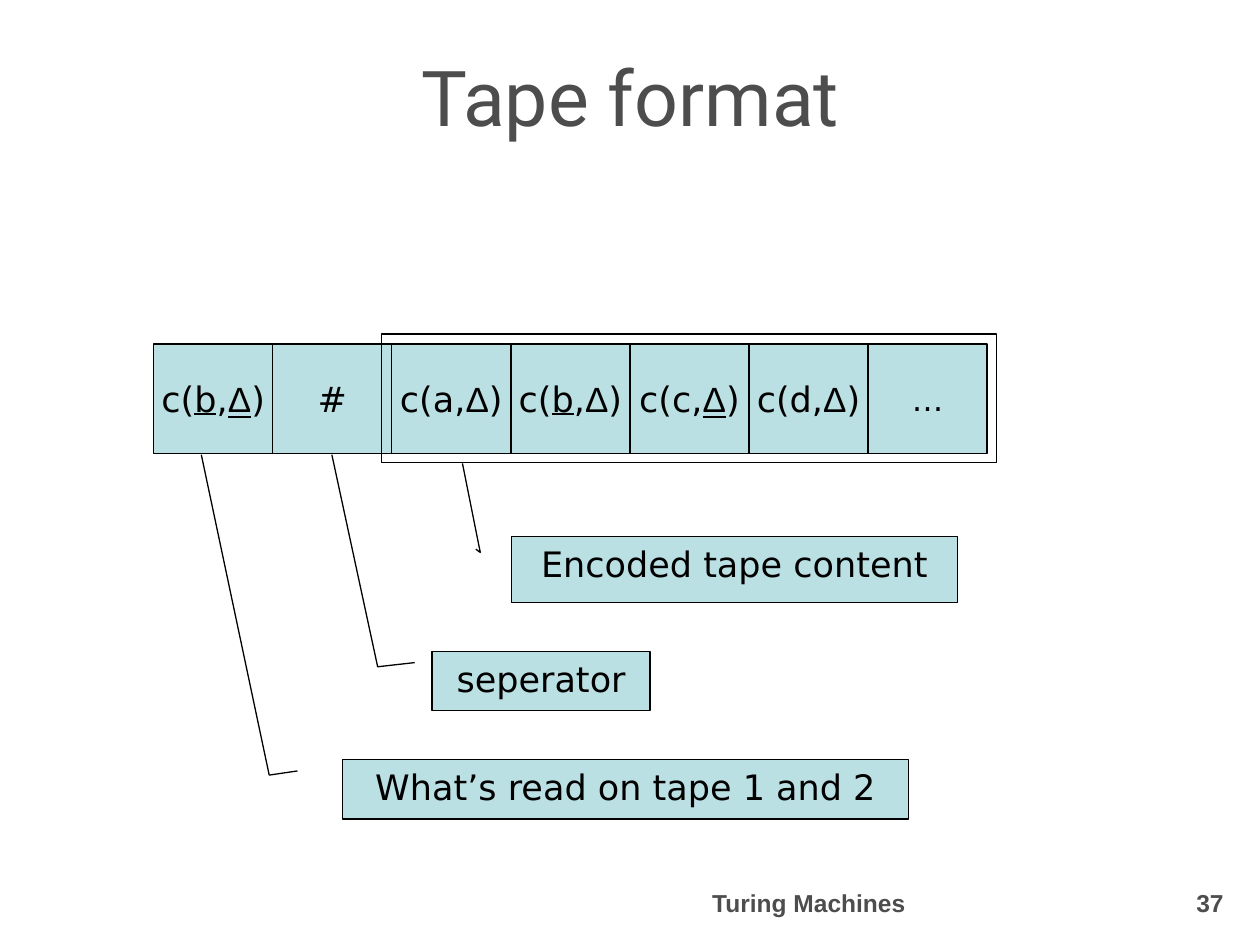
from typing import NamedTuple

from pptx import Presentation
from pptx.dml.color import RGBColor
from pptx.enum.shapes import MSO_SHAPE as Shape
from pptx.enum.text import MSO_ANCHOR as Anchor, PP_ALIGN as Align
from pptx.util import Inches, Pt

COLORS = {"fill": "BBE0E3", "ink": "000000", "gray": "4D4D4D"}
BODY_FONT = "DejaVu Sans"
SYMBOL_FONT = "Arial"


class Cell(NamedTuple):
    runs: list[str]  # a leading "_" underlines the run
    size: int = 20


class Callout(NamedTuple):
    text: str
    box: tuple[float, float, float, float]
    leader: list[float]  # y, x pairs as fractions of the box


class Footer(NamedTuple):
    text: str
    box: tuple[float, float, float, float]
    align: Align


CELLS = [
    Cell(["c(", "_b", ",", "_Δ", ")"]),
    Cell(["#"]),
    Cell(["c(a,", "Δ", ")"]),
    Cell(["c(", "_b", ",", "Δ", ")"]),
    Cell(["c(c,", "_Δ", ")"]),
    Cell(["c(d,", "Δ", ")"]),
    Cell(["…"], 18),
]
TAPE_LEFT, TAPE_TOP = 1.22, 2.73
CELL_PITCH, CELL_HEIGHT = 0.945, 0.87
CONTENT_FRAME = (3.03, 2.65, 4.88, 1.02)

CALLOUTS = [
    Callout("What’s read on tape 1 and 2", (2.72, 6.03, 4.49, 0.47),
            [0.19, -0.08, 0.26, -0.13, -5.15, -0.25]),
    Callout("seperator", (3.43, 5.17, 1.73, 0.47),
            [0.19, -0.08, 0.26, -0.25, -3.32, -0.46]),
    Callout("Encoded tape content", (4.06, 4.26, 3.54, 0.52),
            [0.19, -0.08, 0.24, -0.07, -1.12, -0.11]),
]
FOOTERS = [
    Footer("Turing Machines", (3.82, 6.98, 5.2, 0.37), Align.CENTER),
    Footer("37", (9.1, 6.98, 0.71, 0.37), Align.RIGHT),
]


def color(name: str) -> RGBColor:
    return RGBColor.from_string(COLORS[name])


def style_font(font, name: str, size: int, ink: str) -> None:
    font.name = name
    font.size = Pt(size)
    font.color.rgb = color(ink)


def add_outlined(slide, kind: Shape, box: tuple, filled: bool = True):
    shape = slide.shapes.add_shape(kind, *map(Inches, box))
    shape.shadow.inherit = False
    if filled:
        shape.fill.solid()
        shape.fill.fore_color.rgb = color("fill")
    else:
        shape.fill.background()
    shape.line.color.rgb = color("ink")
    shape.line.width = Pt(0.75)
    return shape


def add_cell(slide, index: int, cell: Cell) -> None:
    box = (TAPE_LEFT + index * CELL_PITCH, TAPE_TOP, CELL_PITCH, CELL_HEIGHT)
    text_frame = add_outlined(slide, Shape.RECTANGLE, box).text_frame
    text_frame.word_wrap = False
    text_frame.vertical_anchor = Anchor.MIDDLE
    paragraph = text_frame.paragraphs[0]
    paragraph.alignment = Align.CENTER
    for text in cell.runs:
        run = paragraph.add_run()
        run.text = text.lstrip("_")
        run.font.underline = text.startswith("_")
        font_name = SYMBOL_FONT if run.text == "Δ" else BODY_FONT
        style_font(run.font, font_name, cell.size, "ink")


def add_callout(slide, callout: Callout) -> None:
    shape = add_outlined(slide, Shape.LINE_CALLOUT_2, callout.box)
    for index, value in enumerate(callout.leader):
        shape.adjustments[index] = value
    shape.text_frame.text = callout.text
    shape.text_frame.vertical_anchor = Anchor.TOP
    paragraph = shape.text_frame.paragraphs[0]
    paragraph.alignment = Align.CENTER
    style_font(paragraph.runs[0].font, BODY_FONT, 20, "ink")


def add_footer(slide, footer: Footer) -> None:
    text_frame = slide.shapes.add_textbox(*map(Inches, footer.box)).text_frame
    text_frame.word_wrap = True
    text_frame.vertical_anchor = Anchor.MIDDLE
    text_frame.text = footer.text
    paragraph = text_frame.paragraphs[0]
    paragraph.alignment = footer.align
    style_font(paragraph.runs[0].font, "Arial", 14, "gray")
    paragraph.runs[0].font.bold = True


def add_title(slide, text: str) -> None:
    title = slide.shapes.title
    title.left, title.top = Inches(0.2), Inches(0.21)
    title.width, title.height = Inches(9.61), Inches(1.1)
    title.text_frame.text = text
    title.text_frame.vertical_anchor = Anchor.MIDDLE
    paragraph = title.text_frame.paragraphs[0]
    paragraph.alignment = Align.CENTER
    style_font(paragraph.runs[0].font, "Roboto", 44, "gray")


def main() -> None:
    presentation = Presentation()
    presentation.slide_width = Inches(10)
    presentation.slide_height = Inches(7.5)
    slide = presentation.slides.add_slide(presentation.slide_layouts[5])

    # Title and footer
    add_title(slide, "Tape format")
    for footer in FOOTERS:
        add_footer(slide, footer)

    # Tape, with a frame around the encoded content
    for index, cell in enumerate(CELLS):
        add_cell(slide, index, cell)
    add_outlined(slide, Shape.RECTANGLE, CONTENT_FRAME, filled=False)

    # Explanations of the tape parts
    for callout in CALLOUTS:
        add_callout(slide, callout)

    presentation.save("out.pptx")


if __name__ == "__main__":
    main()
